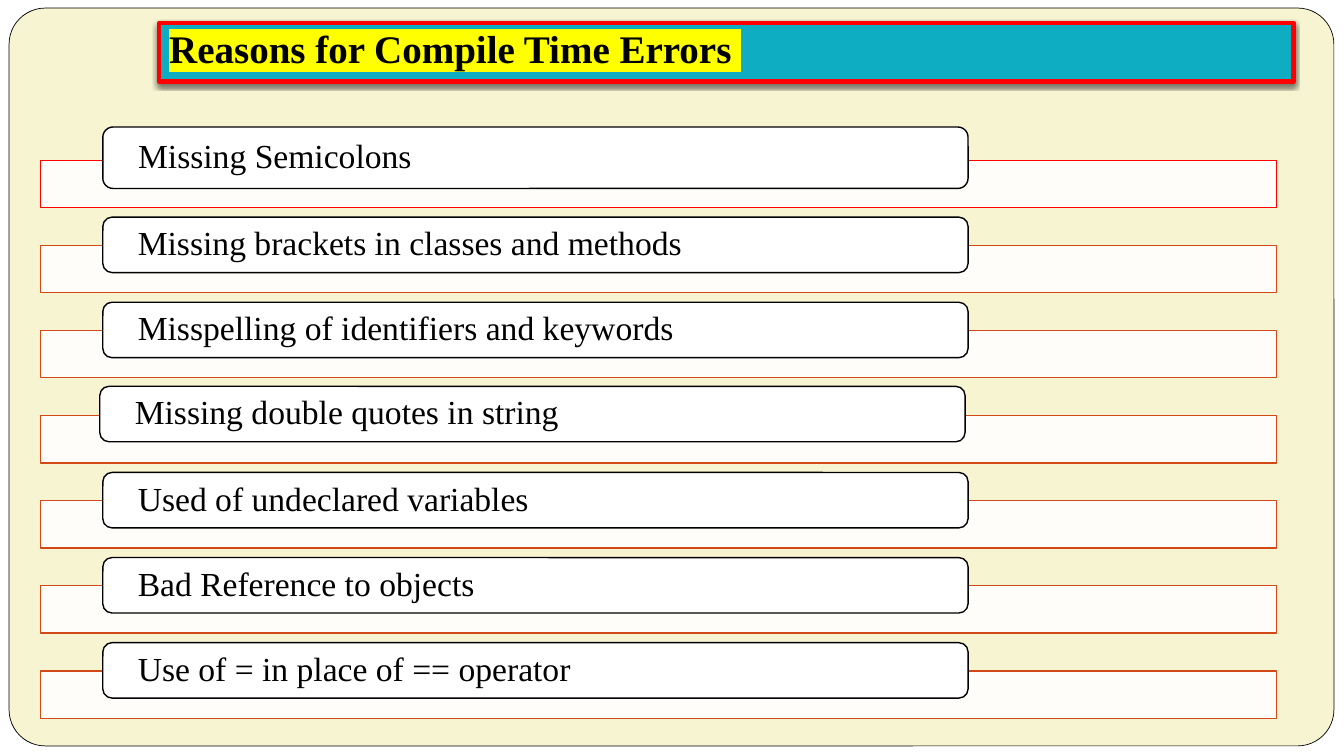
from lxml import etree
from pptx import Presentation, util as u
from pptx.dml.color import RGBColor
from pptx.enum import shapes, text
from pptx.oxml.ns import qn

WIDTH, HEIGHT = 13.33, 7.5
FONT = "Times New Roman"
CREAM, WHITE, BLACK, RED, RUST, TEAL = (
    "F7F4D1", "FFFFFF", "000000", "FF0000", "D34817", "0EADC2")
RECT = shapes.MSO_SHAPE.RECTANGLE
ROUNDED = shapes.MSO_SHAPE.ROUNDED_RECTANGLE

REASONS = [
    "Missing Semicolons",
    "Missing brackets in classes and methods",
    "Misspelling of identifiers and keywords",
    "Missing double quotes in string",
    "Used of undeclared variables",
    "Bad Reference to objects",
    "Use of = in place of == operator",
]
# Departures from the regular label box: left, top, height
LABEL_SHIFTS = {0: (0, -0.05, 0.06), 3: (-0.03, -0.01, 0)}


def color(value):
    return RGBColor.from_string(value)


def add_child(parent, tag, **attributes):
    return etree.SubElement(parent, qn(tag), attributes)


def add_panel(slide, kind, box, fill, line=None, weight=1):
    panel = slide.shapes.add_shape(kind, *(u.Inches(v) for v in box))
    panel.shadow.inherit = False
    panel.fill.solid()
    panel.fill.fore_color.rgb = color(fill)
    if line:
        panel.line.color.rgb = color(line)
        panel.line.width = u.Pt(weight)
    else:
        panel.line.fill.background()
    return panel


def write(panel, words, size, insets, anchor, bold=False):
    frame = panel.text_frame
    frame.word_wrap = True
    frame.vertical_anchor = anchor
    (frame.margin_left, frame.margin_top,
     frame.margin_right, frame.margin_bottom) = (u.Inches(v) for v in insets)
    paragraph = frame.paragraphs[0]
    paragraph.alignment = text.PP_ALIGN.LEFT
    run = paragraph.add_run()
    run.text = words
    run.font.size = u.Pt(size)
    run.font.bold = bold
    run.font.name = FONT
    run.font.color.rgb = color(BLACK)
    return paragraph


def draw_backdrop(slide, box):
    left, top, width, height = box
    slide.background.fill.solid()
    slide.background.fill.fore_color.rgb = color(CREAM)
    add_panel(slide, RECT, box, WHITE)
    card = add_panel(slide, ROUNDED,
                     (left + 0.09, top + 0.08, width - 0.19, height - 0.18),
                     CREAM, BLACK, 0.5)
    card.adjustments[0] = 0.049


def draw_title(slide, box):
    banner = add_panel(slide, RECT, box, TEAL, RED, 3)
    heading = write(banner, "Reasons for Compile Time Errors ", 27.9,
                    (0.1, 0.05, 0.1, 0.1), text.MSO_ANCHOR.BOTTOM, bold=True)
    # Yellow highlight sits right after the text fill
    properties = heading.runs[0].font._element if hasattr(
        heading.runs[0].font, "_element") else heading.runs[0]._r.rPr
    highlight = etree.Element(qn("a:highlight"))
    add_child(highlight, "a:srgbClr", val="FFFF00")
    properties.find(qn("a:solidFill")).addnext(highlight)
    # Soft shadow straight below
    effects = banner._element.spPr.find(qn("a:effectLst"))
    shadow = add_child(effects, "a:outerShdw", blurRad=str(u.Pt(3)),
                       dist=str(u.Pt(2)), dir="5400000", rotWithShape="0")
    tint = add_child(shadow, "a:srgbClr", val=BLACK)
    add_child(tint, "a:alpha", val="50000")


def draw_reasons(slide, box):
    left, top, width, height = box
    pitch = height / len(REASONS)
    for row, reason in enumerate(REASONS):
        bar_top = top + row * pitch
        bar = add_panel(slide, RECT, (left, bar_top, width, 0.47),
                        WHITE, RUST if row else RED)
        bar_fill = bar._element.spPr.find(qn("a:solidFill"))
        add_child(bar_fill[0], "a:alpha", val="90000")

        dx, dy, extra = LABEL_SHIFTS.get(row, (0, 0, 0))
        label = add_panel(slide, ROUNDED,
                          (left + 0.62 + dx, bar_top - 0.28 + dy,
                           width * 0.7, 0.55 + extra), WHITE, BLACK)
        line = write(label, reason, 24, (0.32, 0, 0.32, 0),
                     text.MSO_ANCHOR.MIDDLE)
        line.line_spacing = 0.9


def main():
    deck = Presentation()
    deck.slide_width, deck.slide_height = u.Inches(WIDTH), u.Inches(HEIGHT)
    slide = deck.slides.add_slide(deck.slide_layouts[6])
    draw_backdrop(slide, (0, 0, WIDTH, HEIGHT))
    draw_title(slide, (1.58, 0.23, 11.25, 0.58))
    draw_reasons(slide, (0.4, 1.59, 12.26, 5.91))
    deck.save("out.pptx")


if __name__ == "__main__":
    main()
